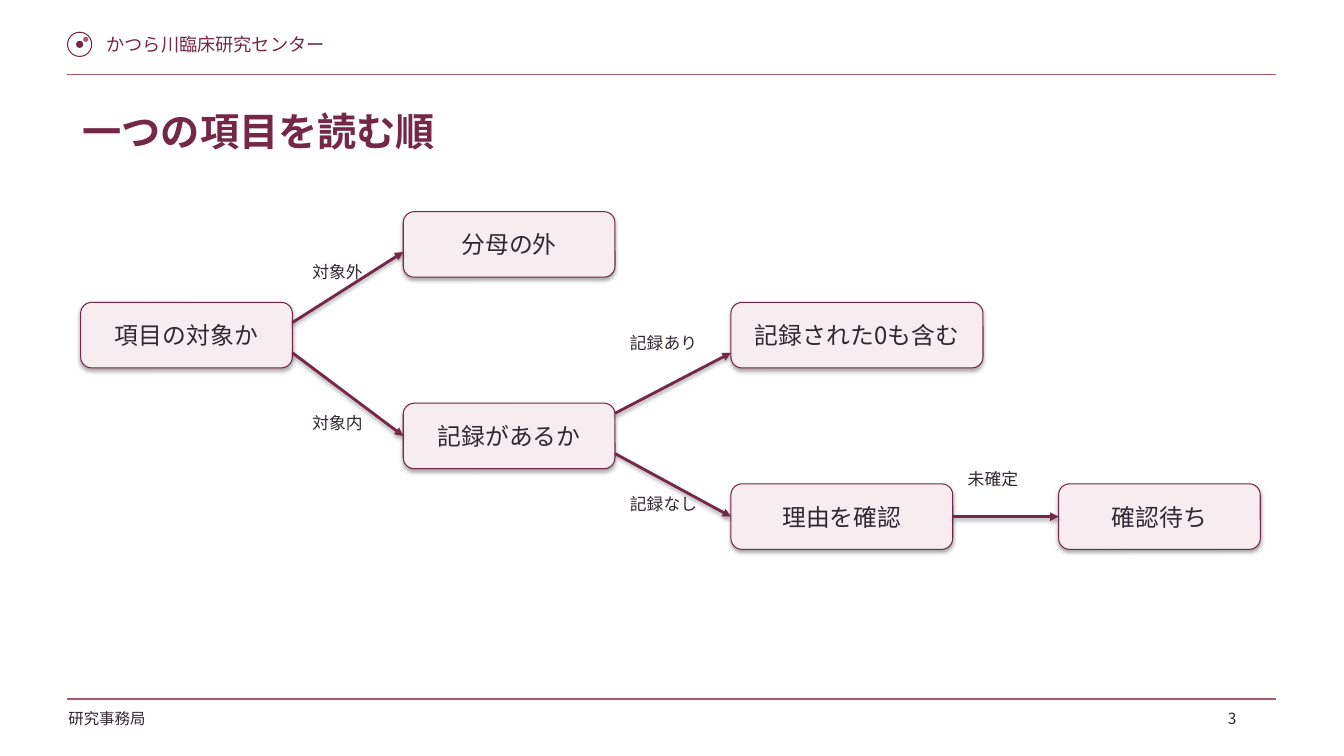
from lxml.etree import SubElement
from pptx import Presentation
from pptx.dml.color import RGBColor
from pptx.enum.shapes import MSO_CONNECTOR, MSO_SHAPE
from pptx.enum.text import MSO_ANCHOR, MSO_AUTO_SIZE, PP_ALIGN
from pptx.oxml.ns import qn
from pptx.util import Inches, Pt

CELL = 0.1
FONT = "Noto Sans CJK JP"
WINE, ROSE, BLUSH, INK = "742747", "AB586C", "F7EDF1", "302830"
LEFT, RIGHT = 1, 3
JOIN_TOLERANCE = Inches(0.03)

HEADER = {"size": Pt(13), "color": WINE}
TITLE = {"size": Pt(28), "bold": True, "color": WINE}
STEP = {"size": Pt(17), "color": INK}
LABEL = {"size": Pt(12), "color": INK}
FOOTER = {"size": Pt(11), "color": INK}

STEPS = {
    "項目の対象か": (8, 30, 21),
    "分母の外": (40, 21, 21),
    "記録があるか": (40, 40, 21),
    "記録された0も含む": (72.5, 30, 25),
    "理由を確認": (72.5, 48, 22),
    "確認待ち": (105, 48, 20),
}
STEP_ROWS = 6.5

BRANCHES = [
    ("項目の対象か", 32, "分母の外", 25, "対象外", 30, 25.5),
    ("項目の対象か", 35, "記録があるか", 43, "対象内", 30, 40.5),
    ("記録があるか", 41, "記録された0も含む", 35, "記録あり", 61.5, 32.5),
    ("記録があるか", 45, "理由を確認", 51, "記録なし", 61.5, 48.5),
    ("理由を確認", 51, "確認待ち", 51, "未確定", 95, 46),
]


def grid(*cells):
    return [Inches(cell * CELL) for cell in cells]


def paint(color_format, value):
    color_format.rgb = RGBColor.from_string(value)


def write(frame, text, style):
    para = frame.paragraphs[0]
    span = para.add_run()
    span.text = text
    span.font.name = FONT
    SubElement(span.font._element, qn("a:ea"), typeface=FONT)
    for name, value in style.items():
        if name == "color":
            paint(span.font.color, value)
        else:
            setattr(span.font, name, value)
    return para


def add_label(page, text, cells, style, wrap=True):
    frame = page.shapes.add_textbox(*grid(*cells)).text_frame
    frame.word_wrap = wrap
    write(frame, text, style)


def add_circle(page, center, diameter, fill=None):
    column, row = center
    corner = (column - diameter / 2, row - diameter / 2)
    circle = page.shapes.add_shape(
        MSO_SHAPE.OVAL, *grid(*corner, diameter, diameter))
    circle.shadow.inherit = False
    if fill:
        circle.fill.solid()
        paint(circle.fill.fore_color, fill)
        circle.line.fill.background()
    else:
        circle.fill.background()
        paint(circle.line.color, WINE)
        circle.line.width = Pt(0.75)


def add_rule(page, row):
    rule = page.shapes.add_connector(
        MSO_CONNECTOR.STRAIGHT, *grid(6.6, row, 126.6, row))
    paint(rule.line.color, ROSE)
    rule.line.width = Pt(0.75)
    SubElement(rule._element.spPr, qn("a:effectLst"))


def add_step(page, text, column, row, columns):
    box = page.shapes.add_shape(
        MSO_SHAPE.ROUNDED_RECTANGLE, *grid(column, row, columns, STEP_ROWS))
    box.fill.solid()
    paint(box.fill.fore_color, BLUSH)
    paint(box.line.color, WINE)
    box.line.width = Pt(0.75)
    box.text_frame.word_wrap = True
    box.text_frame.vertical_anchor = MSO_ANCHOR.MIDDLE
    write(box.text_frame, text, STEP).alignment = PP_ALIGN.CENTER
    return box


def meets_middle(box, height):
    return abs(box.top + box.height / 2 - height) <= JOIN_TOLERANCE


def add_arrow(page, source, source_row, target, target_row):
    start, end = grid(source_row, target_row)
    arrow = page.shapes.add_connector(
        MSO_CONNECTOR.STRAIGHT,
        source.left + source.width, start, target.left, end)
    paint(arrow.line.color, WINE)
    arrow.line.width = Pt(2)
    SubElement(arrow.line._get_or_add_ln(), qn("a:tailEnd"), type="triangle")
    if meets_middle(source, start):
        arrow.begin_connect(source, RIGHT)
    if meets_middle(target, end):
        arrow.end_connect(target, LEFT)


def add_title(page, text):
    title = page.shapes.title
    title.left, title.top, title.width, title.height = grid(7.2, 10.2, 119, 8.1)
    frame = title.text_frame
    margins = ("margin_left", "margin_top", "margin_right", "margin_bottom")
    for name in margins:
        setattr(frame, name, Inches(0.1))
    frame.word_wrap = True
    frame.auto_size = MSO_AUTO_SIZE.NONE
    frame.vertical_anchor = MSO_ANCHOR.TOP
    para = write(frame, text, TITLE)
    para.alignment = PP_ALIGN.LEFT
    para.line_spacing = 0.9


def add_frame(page):
    add_circle(page, (7.9, 4.4), 2.4)
    add_circle(page, (7.9, 4.4), 0.7, WINE)
    add_circle(page, (8.5, 3.9), 0.5, ROSE)
    add_label(page, "かつら川臨床研究センター", (9.6, 2.8, 33, 3.5), HEADER, False)
    for row in (7.35, 69.35):
        add_rule(page, row)
    add_label(page, "研究事務局", (5.8, 69.9, 18, 3.6), FOOTER, False)
    add_label(page, "3", (120.8, 69.9, 5, 2.5), FOOTER, False)


def main():
    deck = Presentation()
    deck.slide_width, deck.slide_height = Inches(13.33), Inches(7.5)
    page = deck.slides.add_slide(deck.slide_layouts[5])
    add_frame(page)
    add_title(page, "一つの項目を読む順")
    boxes = {text: add_step(page, text, *cells) for text, cells in STEPS.items()}
    for source, start, target, end, label, column, row in BRANCHES:
        add_arrow(page, boxes[source], start, boxes[target], end)
        add_label(page, label, (column, row, 10, 3), LABEL)
    deck.save("out.pptx")


if __name__ == "__main__":
    main()
